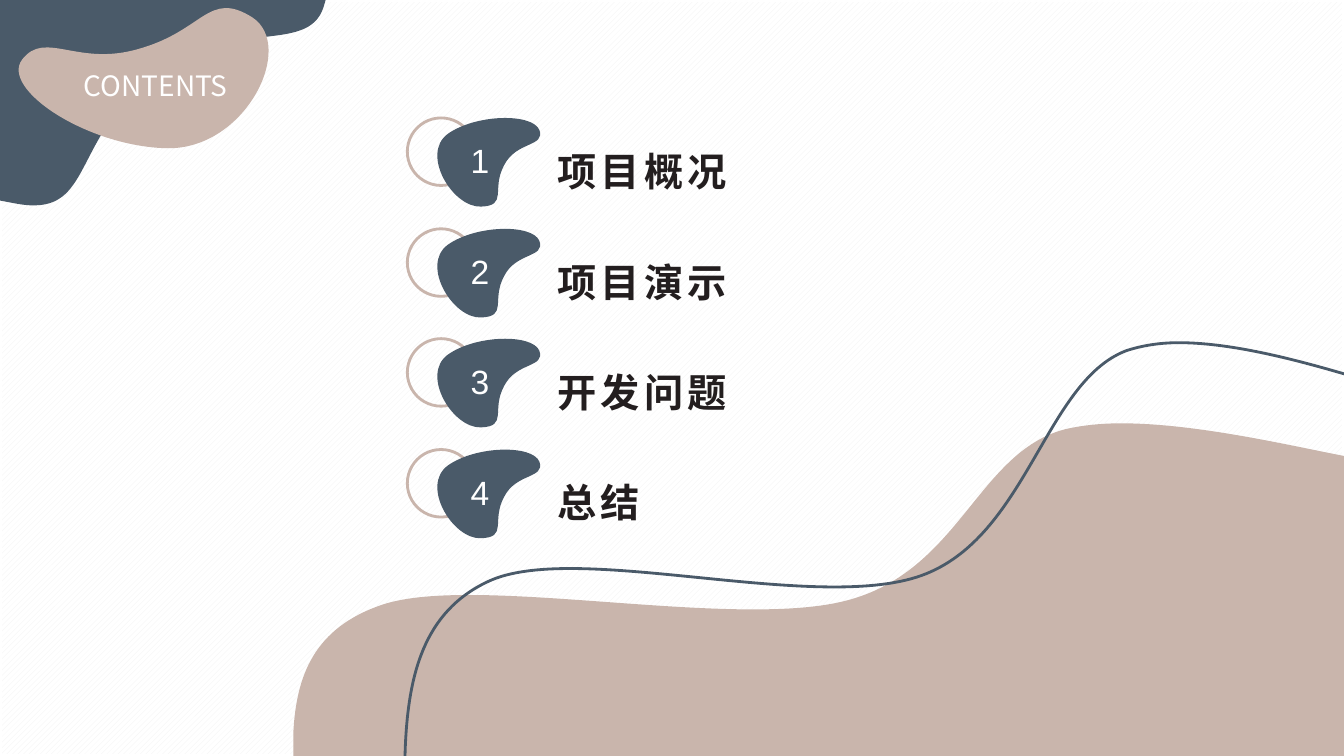
"""Build the contents slide: four numbered entries among organic shapes."""
from math import cos, radians, sin
from pptx import Presentation
from pptx.dml.color import RGBColor
from pptx.enum.dml import MSO_PATTERN as Pattern
from pptx.enum.shapes import MSO_SHAPE as Shape
from pptx.enum.text import MSO_ANCHOR as Anchor, MSO_AUTO_SIZE as AutoSize, PP_ALIGN as Align
from pptx.oxml.ns import qn
from pptx.util import Pt
from lxml.etree import SubElement

PX = 9144
COLORS = {name: RGBColor.from_string(code) for name, code in {
    "navy": "4A5A69", "tan": "C9B5AC", "ink": "231E1F",
    "white": "FFFFFF", "stripe": "F2F2F2"}.items()}


def draw_curve(shapes, box, start, segments, fill=None, line=None, turn=0, drop=0):
    """Draw a closed outline of lines (x, y) and cubic curves (x1, y1, x2, y2, x, y)."""
    left, top, width, height = box
    builder = shapes.build_freeform(*start, scale=float(PX))
    builder.add_line_segments([segment[-2:] for segment in segments], close=True)
    shape = builder.convert_to_shape()
    shape.left, shape.top = left * PX, (top + drop) * PX
    shape.width, shape.height = width * PX, height * PX
    shape.rotation = turn
    shape.shadow.inherit = False
    outline = next(shape.element.iter(qn("a:path")))
    outline.set("w", str(width * PX))
    outline.set("h", str(height * PX))
    for child in list(outline):
        outline.remove(child)
    across, along = cos(radians(turn)), sin(radians(turn))
    for order, segment in enumerate([start, *segments]):
        kind = "cubicBezTo" if len(segment) == 6 else "lnTo" if order else "moveTo"
        stroke = SubElement(outline, qn(f"a:{kind}"))
        for x, y in zip(segment[::2], segment[1::2]):
            dx, dy = x - left - width / 2, y - top - height / 2
            point = SubElement(stroke, qn("a:pt"))
            point.set("x", str(round((width / 2 + dx * across + dy * along) * PX)))
            point.set("y", str(round((height / 2 - dx * along + dy * across) * PX)))
    SubElement(outline, qn("a:close"))
    if fill:
        shape.fill.solid()
        shape.fill.fore_color.rgb = COLORS[fill]
        shape.line.fill.background()
    else:
        shape.fill.background()
        shape.line.color.rgb = COLORS[line]
        shape.line.width = Pt(2)
    return shape


def write_text(box, text, size, font, color, bold=False, spacing=0, wrap=False):
    """Fill a box with one left-aligned line of text."""
    frame = box.text_frame
    frame.text = text
    frame.word_wrap = wrap
    frame.auto_size = AutoSize.SHAPE_TO_FIT_TEXT
    frame.vertical_anchor = Anchor.TOP
    para = frame.paragraphs[0]
    para.alignment = Align.LEFT
    span = para.runs[0]
    span.font.size = Pt(size)
    span.font.bold = bold
    span.font.name = font
    span.font.color.rgb = COLORS[color]
    props = span._r.get_or_add_rPr()
    SubElement(props, qn("a:ea")).set("typeface", font)
    if spacing:
        props.set("spc", str(spacing * 100))


deck = Presentation()
deck.slide_width, deck.slide_height = 1333 * PX, 750 * PX
page = deck.slides.add_slide(deck.slide_layouts[5])
backdrop = page.background.fill
backdrop.patterned()
backdrop.pattern = Pattern.WIDE_UPWARD_DIAGONAL
backdrop.fore_color.rgb = COLORS["stripe"]
backdrop.back_color.rgb = COLORS["white"]

border = page.shapes.add_shape(Shape.RECTANGLE, 0, 0, 1333 * PX, 750 * PX)
border.shadow.inherit = False
border.fill.background()
border.line.color.rgb = COLORS["white"]
border.line.width = Pt(3)

draw_curve(page.shapes, (0, 0, 323, 204), (0, 0), [
    (323, 0), (321, 7), (305, 57, 223, 14, 146, 79),
    (69, 145, 92, 216, 16, 202), (0, 199)], fill="navy")
title_blob = draw_curve(page.shapes, (83, -38, 136, 246), (165, 147), [
    (86, 145, 0, 88, 22, 59), (45, 29, 77, 67, 139, 48),
    (202, 30, 207, -10, 250, 17), (294, 45, 244, 149, 165, 147)], fill="tan", turn=253.4)

title = page.shapes.title
title.left, title.top, title.width, title.height = 73 * PX, 63 * PX, 172 * PX, 44 * PX
write_text(title, "CONTENTS", 20, "Noto Sans CJK JP", "white")
title_blob.element.addnext(title.element)

ENTRIES = [("项目概况", 347), ("项目演示", 195), ("开发问题", 195), ("总结", 107)]
for index, (label, width) in enumerate(ENTRIES):
    drop = round(109.7 * index)
    entry = page.shapes.add_group_shape().shapes
    ring = entry.add_shape(Shape.OVAL, 404 * PX, (117 + drop) * PX, 67 * PX, 67 * PX)
    ring.shadow.inherit = False
    ring.fill.background()
    ring.line.color.rgb = COLORS["tan"]
    ring.line.width = Pt(2)
    draw_curve(entry, (437, 103, 84, 101), (444, 133), [
        (472, 113, 528, 112, 535, 129), (541, 146, 512, 140, 500, 164),
        (487, 188, 504, 204, 477, 205), (449, 206, 417, 153, 444, 133)],
        fill="navy", turn=27.7, drop=drop)
    label_box = entry.add_textbox(543 * PX, (141 + drop) * PX, width * PX, 57 * PX)
    write_text(label_box, label, 28, "Noto Sans CJK SC", "ink",
               bold=True, spacing=3, wrap=index == 0)
    number_box = entry.add_textbox(457 * PX, (134 + drop) * PX, 40 * PX, 50 * PX)
    write_text(number_box, str(index + 1), 24, "Arial", "white")

draw_curve(page.shapes, (291, 420, 1045, 330), (1112, 420), [
    (1181, 420, 1266, 439, 1321, 450), (1336, 453), (1336, 750), (291, 750), (291, 726),
    (294, 671, 311, 623, 379, 600), (471, 569, 726, 625, 839, 596),
    (952, 567, 969, 449, 1056, 426), (1073, 422, 1092, 420, 1112, 420)], fill="tan")
draw_curve(page.shapes, (401, 340, 977, 434), (1169, 340), [
    (1233, 340, 1313, 365, 1364, 380), (1378, 384), (1378, 774), (401, 774), (402, 742),
    (405, 670, 420, 607, 484, 577), (570, 536, 808, 609, 914, 571),
    (1019, 533, 1036, 379, 1117, 348), (1132, 343, 1150, 340, 1169, 340)], line="navy")

deck.save("out.pptx")
